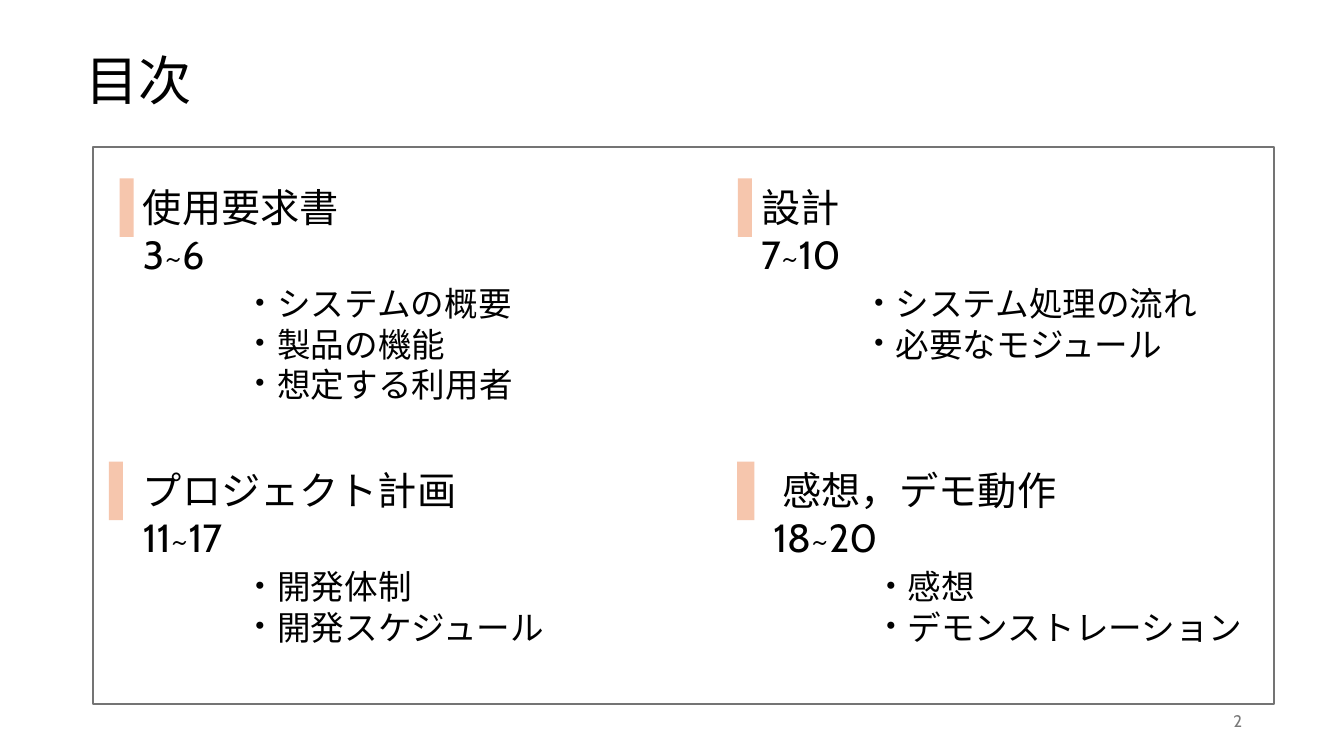
from lxml import etree
from pptx import Presentation
from pptx import util as u
from pptx.dml.color import RGBColor
from pptx.enum import shapes, text
from pptx.oxml.ns import qn

FONT = "Cabin"
prs = Presentation()
prs.slide_width, prs.slide_height = u.Inches(13.33), u.Inches(7.5)
COL, ROW = prs.slide_width / 100, prs.slide_height / 100


def rgb(value):
    return RGBColor.from_string(value)


def place(box):
    x, y, w, h = box
    return int(x * COL), int(y * ROW), int(w * COL), int(h * ROW)


def add_rect(slide, box, fill, line=None):
    sp = slide.shapes.add_shape(shapes.MSO_SHAPE.RECTANGLE, *place(box))
    sp.shadow.inherit = False
    sp.fill.solid()
    sp.fill.fore_color.rgb = rgb(fill)
    if line:
        sp.line.color.rgb = rgb(line)
        sp.line.width = u.Pt(1.5)
    else:
        sp.line.fill.background()


def add_text(slide, box, lines, size, color="000000", wrap=True):
    tf = slide.shapes.add_textbox(*place(box)).text_frame
    tf.word_wrap = wrap
    tf.text = "\n".join(lines)
    for p in tf.paragraphs:
        for r in p.runs:
            r.font.name = FONT
            r.font.size = u.Pt(size)
            r.font.color.rgb = rgb(color)
    return tf


def add_bullet(p):
    pPr = p._p.get_or_add_pPr()
    pPr.set("marL", str(u.Inches(1.12)))
    pPr.set("indent", str(u.Inches(-0.12)))
    etree.SubElement(pPr, qn("a:buFont")).set("typeface", FONT)
    etree.SubElement(pPr, qn("a:buChar")).set("char", "・")


def add_section(slide, box, gap, bar, heading, pages, topics):
    x, y, w, h = box
    add_rect(slide, (x - gap, y, bar, 7.75), "F6C6AD")
    tf = add_text(slide, box, [heading, pages, *topics], 28)
    for i, p in enumerate(tf.paragraphs[2:]):
        add_bullet(p)
        p.space_before = u.Pt(4 if i == 0 else 0)
        p.runs[0].font.size = u.Pt(24)


def add_contents(slide, box):
    x, y, w, h = box
    add_rect(slide, box, "FFFFFF", "747474")
    top, bottom = y + 4.13, y + 41.6
    left, right = x + 3, x + 49
    add_section(slide, (left, top, 39.8, 24.7), 1, 1.05, "使用要求書", "3~6",
                ["システムの概要", "製品の機能", "想定する利用者"])
    add_section(slide, (right, top, 37.4, 19.3), 1, 1.05, "設計", "7~10",
                ["システム処理の流れ", "必要なモジュール"])
    add_section(slide, (left, bottom, 39.8, 19.3), 1.8, 1.05, "プロジェクト計画", "11~17",
                ["開発体制", "開発スケジュール"])
    add_section(slide, (right + 0.9, bottom, 37.4, 19.3), 1.95, 1.28, " 感想，デモ動作", "18~20",
                ["感想", "デモンストレーション"])


def add_number(slide, box):
    tf = add_text(slide, box, ["2"], 12, "797979")
    tf.vertical_anchor = text.MSO_ANCHOR.MIDDLE
    tf.paragraphs[0].alignment = text.PP_ALIGN.RIGHT


def main():
    slide = prs.slides.add_slide(prs.slide_layouts[6])
    add_number(slide, (70.67, 92.67, 22.5, 5.33))
    add_contents(slide, (6.9, 19.47, 87.9, 73.6))
    add_text(slide, (5.63, 5.6, 9.5, 9.9), ["目次"], 38, wrap=False)
    prs.save("out.pptx")


if __name__ == "__main__":
    main()
